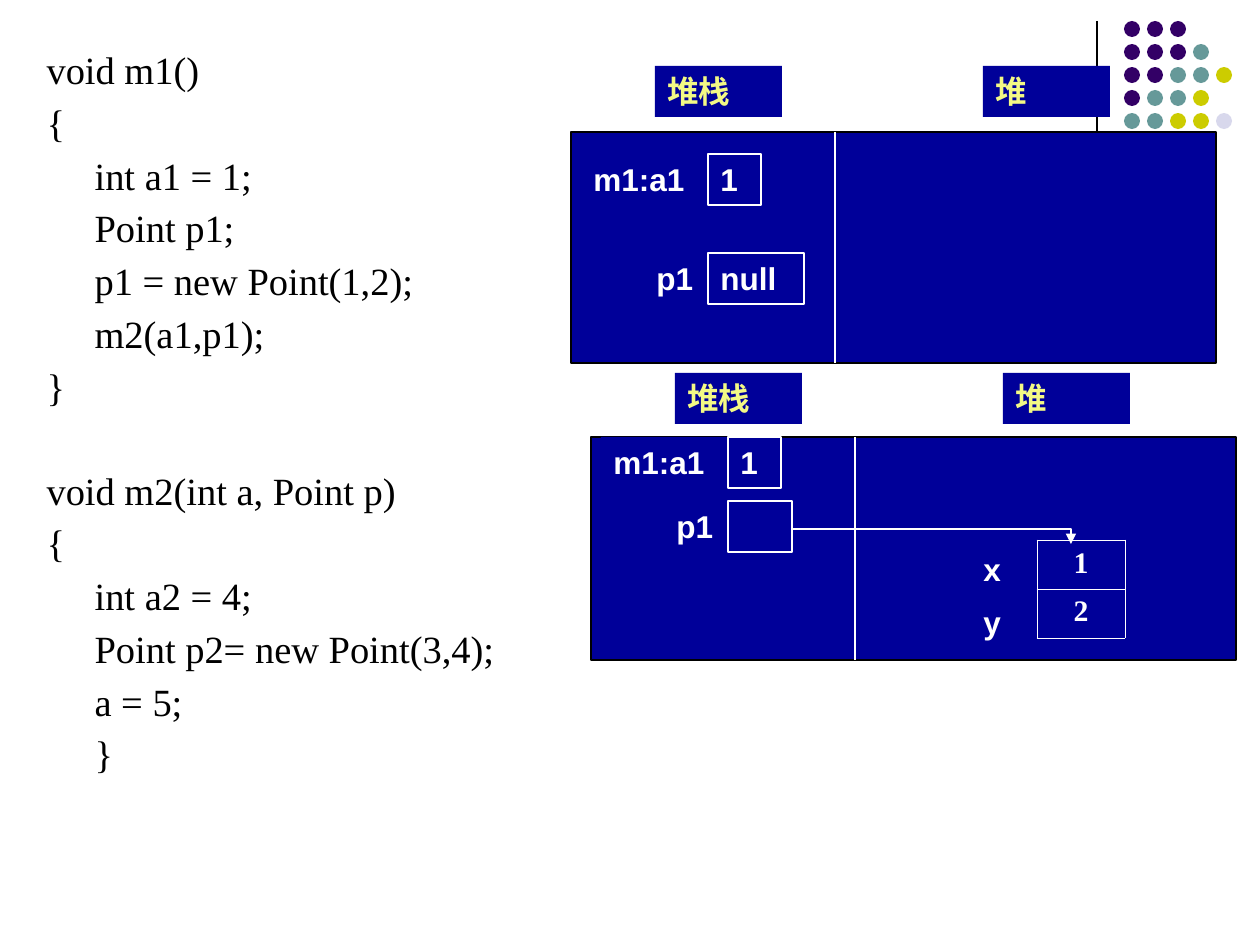
from dataclasses import dataclass

from lxml import etree
from pptx import Presentation
from pptx import util as u
from pptx.dml.color import RGBColor
from pptx.enum import shapes, text
from pptx.oxml import ns

PX = 914400 / 126  # EMU in one px


@dataclass(frozen=True)
class Theme:
    navy: str = "000099"
    white: str = "FFFFFF"
    black: str = "000000"
    heading: str = "F3F985"
    dots: tuple = ("330066", "669999", "CCCC00", "D8D8EC")
    sans: str = "Arial"
    serif: str = "Times New Roman"
    code_size: int = 22
    label_size: int = 18
    field_size: int = 17
    thin: float = 0.75
    thick: float = 1.5


@dataclass(frozen=True)
class Variable:
    label: str
    value: str
    top: int
    label_left: int
    label_width: int
    value_width: int


@dataclass(frozen=True)
class Memory:
    left: int
    top: int
    height: int
    heading_top: int
    variables: tuple


THEME = Theme()
LINE_HEIGHT = 51
MEMORY_WIDTH = 645
DIVIDER, VALUE_LEFT = 264, 137  # offsets from a panel's left edge
HEADINGS = (("堆栈", 84), ("堆", 412))

BEFORE = Memory(571, 132, 231, 66, (
    Variable("m1:a1", "1", 154, 10, 147, 53),
    Variable("p1", "null", 253, 73, 84, 96),
))
AFTER = Memory(591, 437, 223, 373, (
    Variable("m1:a1", "1", 437, 10, 147, 53),
    Variable("p1", "", 501, 73, 84, 64),
))
FIELDS = (("x", "1", 544), ("y", "2", 597))

# Each digit is an index into the dot colours
DOT_ROWS = ("000", "0001", "00112", "0112", "11223")
LAST_DOT = (4, 4)

METHODS = (
    ("void m1()", "{", "\tint a1 = 1;", "\tPoint p1;", "\tp1 = new Point(1,2);",
     "\tm2(a1,p1);", "}"),
    ("void m2(int a, Point p)", "{", "\tint a2 = 4;",
     "\tPoint p2= new Point(3,4);", "\ta = 5;", "\t}"),
)


def px(length: int) -> int:
    return round(length * PX)


def color(value: str) -> RGBColor:
    return RGBColor.from_string(value)


def add_xml(parent, tag: str, **attributes: str):
    return etree.SubElement(parent, ns.qn(tag), attributes)


def style(font, name: str, size: int, value: str, bold: bool = False) -> None:
    font.name, font.size, font.bold = name, u.Pt(size), bold
    font.color.rgb = color(value)


def add_box(page, left: int, top: int, width: int, height: int, fill: str,
            border: str = "", kind=shapes.MSO_SHAPE.RECTANGLE):
    box = page.shapes.add_shape(kind, px(left), px(top), px(width), px(height))
    box.shadow.inherit = False
    box.fill.solid()
    box.fill.fore_color.rgb = color(fill)
    if border:
        box.line.color.rgb = color(border)
        box.line.width = u.Pt(THEME.thin)
    else:
        box.line.fill.background()
    return box


def add_label(page, words: str, left: int, top: int, width: int,
              ink: str = THEME.white, border: str = "") -> None:
    box = add_box(page, left, top, width, LINE_HEIGHT, THEME.navy, border)
    if not words:
        return
    frame = box.text_frame
    frame.text = words
    frame.vertical_anchor = text.MSO_ANCHOR.TOP
    para = frame.paragraphs[0]
    para.alignment = text.PP_ALIGN.LEFT
    style(para.runs[0].font, THEME.sans, THEME.label_size, ink, bold=True)


def add_line(page, start: tuple, end: tuple, ink: str, width: float,
             kind=shapes.MSO_CONNECTOR.STRAIGHT):
    line = page.shapes.add_connector(kind, *map(px, start + end))
    line.line.color.rgb = color(ink)
    line.line.width = u.Pt(width)
    add_xml(line.element.spPr, "a:effectLst")
    return line


def add_reference(page, start: tuple, end: tuple) -> None:
    arrow = add_line(page, start, end, THEME.white, THEME.thin,
                     shapes.MSO_CONNECTOR.ELBOW)
    properties = arrow.element.spPr
    properties.find(ns.qn("a:prstGeom")).set("prst", "bentConnector2")
    add_xml(properties.find(ns.qn("a:ln")), "a:tailEnd", type="triangle")


def add_decoration(page) -> None:
    add_line(page, (1097, 21), (1097, 231), THEME.black, THEME.thin)
    for row, dots in enumerate(DOT_ROWS):
        for column, index in enumerate(dots):
            shade = 3 if (row, column) == LAST_DOT else int(index)
            add_box(page, 1124 + 23 * column, 21 + 23 * row, 16, 16,
                    THEME.dots[shade], kind=shapes.MSO_SHAPE.OVAL)


def add_memory(page, memory: Memory) -> None:
    left, top, bottom = memory.left, memory.top, memory.top + memory.height
    add_box(page, left, top, MEMORY_WIDTH, memory.height, THEME.navy, THEME.black)
    for words, offset in HEADINGS:
        add_label(page, words, left + offset, memory.heading_top, 127, THEME.heading)
    add_line(page, (left + DIVIDER, top), (left + DIVIDER, bottom),
             THEME.white, THEME.thick)
    for item in memory.variables:
        add_label(page, item.label, left + item.label_left, item.top, item.label_width)
        add_label(page, item.value, left + VALUE_LEFT, item.top, item.value_width,
                  border=THEME.white)


def add_fields(page) -> None:
    for name, _, top in FIELDS:
        add_label(page, name, 971, top, 53)
    add_reference(page, (791, 529), (1071, 544))
    table = page.shapes.add_table(len(FIELDS), 1, px(1037), px(540),
                                  px(88), px(98)).table
    table.first_row = table.horz_banding = False
    for row, (_, value, _) in enumerate(FIELDS):
        cell = table.cell(row, 0)
        cell.text = value
        para = cell.text_frame.paragraphs[0]
        para.alignment = text.PP_ALIGN.CENTER
        style(para.runs[0].font, THEME.serif, THEME.field_size, THEME.white, bold=True)
        properties = cell._tc.get_or_add_tcPr()
        for side in "LRTB":
            border = add_xml(properties, f"a:ln{side}", w=str(u.Pt(0.45)))
            add_xml(add_xml(border, "a:solidFill"), "a:srgbClr", val=THEME.white)
        cell.fill.background()


def add_code(body) -> None:
    body.left, body.top, body.width, body.height = map(px, (34, 45, 576, 799))
    frame = body.text_frame
    frame.auto_size = text.MSO_AUTO_SIZE.NONE
    frame.text = "\n".join(line for method in METHODS for line in method)
    for index, para in enumerate(frame.paragraphs):
        properties = para._p.get_or_add_pPr()
        properties.set("marL", str(px(48)))
        properties.set("indent", str(-px(48)))
        add_xml(properties, "a:buNone")
        add_xml(add_xml(properties, "a:tabLst"), "a:tab", pos="0", algn="l")
        para.line_spacing = 0.9
        method_start = index == len(METHODS[0])
        para.space_before = u.Pt(0 if index == 0 else 35.6 if method_start else 6.4)
        style(para.runs[0].font, THEME.serif, THEME.code_size, THEME.black)


def main() -> None:
    deck = Presentation()
    deck.slide_width, deck.slide_height = u.Inches(10), u.Inches(7.5)
    page = deck.slides.add_slide(deck.slide_layouts[1])
    title = page.shapes.title.element
    title.getparent().remove(title)

    # Source code on the left
    add_code(page.placeholders[1])
    # Corner ornament
    add_decoration(page)
    # Stack and heap before and after the object is created
    add_memory(page, AFTER)
    add_memory(page, BEFORE)
    add_fields(page)
    deck.save("out.pptx")


if __name__ == "__main__":
    main()
